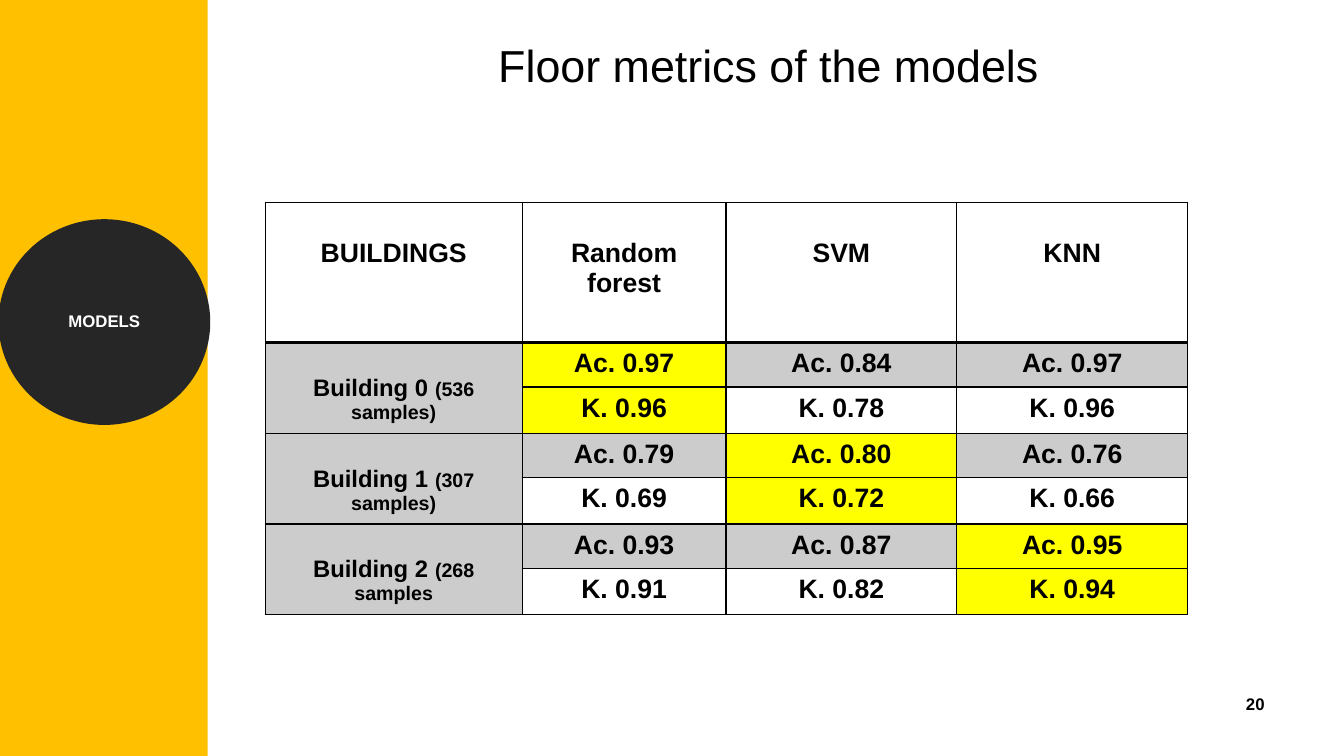
from pptx import Presentation
from pptx.dml.color import RGBColor
from pptx.enum.shapes import MSO_SHAPE as SHAPE
from pptx.enum.text import MSO_ANCHOR as ANCHOR, MSO_AUTO_SIZE as AUTO, PP_ALIGN as ALIGN
from pptx.oxml.ns import qn
from pptx.util import Inches, Pt
from lxml.etree import SubElement

COLORS = {"black": "000000", "white": "FFFFFF", "gray": "CCCCCC",
          "best": "FFFF00", "band": "FFC000", "circle": "262626"}
HEADERS = ["BUILDINGS", "Random forest", "SVM", "KNN"]
# Name, sample note, accuracies, kappas, column of the best model
BUILDINGS = [
    ("Building 0 ", "(536 samples)", ["0.97", "0.84", "0.97"], ["0.96", "0.78", "0.96"], 1),
    ("Building 1 ", "(307 samples)", ["0.79", "0.80", "0.76"], ["0.69", "0.72", "0.66"], 2),
    ("Building 2 ", "(268 samples", ["0.93", "0.87", "0.95"], ["0.91", "0.82", "0.94"], 3),
]
COL_WIDTHS = [2.55, 2.02, 2.29, 2.29]
ROW_HEIGHTS = [1.39] + [0.44, 0.46] * 3


def add_run(p, text, size, color="black", bold=True):
    r = p.add_run()
    r.text = text
    r.font.name, r.font.size, r.font.bold = "Arial", Pt(size), bold
    r.font.color.rgb = RGBColor.from_string(COLORS[color])


def style_cell(cell, fill, margins, bottom=1):
    """Set fill, margins (left/right, top, bottom) and black borders."""
    side, cell.margin_top, cell.margin_bottom = [Inches(m) for m in margins]
    cell.margin_left = cell.margin_right = side
    cell.text_frame.paragraphs[0].alignment = ALIGN.CENTER
    tc_pr = cell._tc.get_or_add_tcPr()
    for edge, width in (("L", 1), ("R", 1), ("T", 1), ("B", bottom)):
        ln = SubElement(tc_pr, qn(f"a:ln{edge}"), w=str(Pt(width)))
        solid = SubElement(ln, qn("a:solidFill"))
        SubElement(solid, qn("a:srgbClr"), val=COLORS["black"])
    cell.fill.solid()
    cell.fill.fore_color.rgb = RGBColor.from_string(COLORS[fill])


prs = Presentation()
prs.slide_width, prs.slide_height = Inches(13.33), Inches(7.5)
s = prs.slides.add_slide(prs.slide_layouts[5])

# Title
title = s.shapes.title
title.left, title.top = Inches(2.06), Inches(0.38)
title.width, title.height = Inches(11.13), Inches(0.54)
tf = title.text_frame
tf.auto_size = AUTO.NONE
tf.vertical_anchor = ANCHOR.TOP
tf.margin_left = tf.margin_right = 0
p = tf.paragraphs[0]
p.alignment, p.line_spacing = ALIGN.CENTER, 0.9
add_run(p, "Floor metrics of the models", 32, bold=False)

# Slide number
number = s.shapes.add_textbox(Inches(12.26), Inches(6.83), Inches(0.4), Inches(0.3))
number.text_frame.word_wrap = False
add_run(number.text_frame.paragraphs[0], "20", 12)

# Table of metrics
table = s.shapes.add_table(len(ROW_HEIGHTS), len(COL_WIDTHS), Inches(2.63), Inches(2.01),
                           Inches(sum(COL_WIDTHS)), Inches(sum(ROW_HEIGHTS))).table
table.first_row = table.horz_banding = False
for column, width in zip(table.columns, COL_WIDTHS):
    column.width = Inches(width)
for row, height in zip(table.rows, ROW_HEIGHTS):
    row.height = Inches(height)

for col, header in enumerate(HEADERS):
    cell = table.cell(0, col)
    style_cell(cell, "white", (0.12, 0.36, 0.06), bottom=2)
    add_run(cell.text_frame.paragraphs[0], header, 19)

for i, (name, samples, accuracies, kappas, best) in enumerate(BUILDINGS):
    top = 1 + 2 * i
    cell = table.cell(top, 0)
    cell.merge(table.cell(top + 1, 0))
    for row in (top, top + 1):
        style_cell(table.cell(row, 0), "gray", (0.1, 0.32, 0.05) if row == top else (0.1, 0.05, 0.05))
    add_run(cell.text_frame.paragraphs[0], name, 17)
    add_run(cell.text_frame.paragraphs[0], samples, 14)
    for row, label, values, fill in ((top, "Ac.", accuracies, "gray"),
                                     (top + 1, "K.", kappas, "white")):
        for col, value in enumerate(values, start=1):
            cell = table.cell(row, col)
            style_cell(cell, "best" if col == best else fill, (0.12, 0.06, 0.06))
            add_run(cell.text_frame.paragraphs[0], f"{label} {value}", 19)

# Side band and section circle
for kind, box, color, line_width in (
        (SHAPE.RECTANGLE, (0, 0, 2.06, 7.5), "band", 0),
        (SHAPE.OVAL, (0.08, 2.27, 1.91, 1.85), "circle", 13.75)):
    sp = s.shapes.add_shape(kind, *[Inches(v) for v in box])
    sp.shadow.inherit = False
    sp.fill.solid()
    sp.fill.fore_color.rgb = RGBColor.from_string(COLORS[color])
    if line_width:
        sp.line.color.rgb = RGBColor.from_string(COLORS[color])
        sp.line.width = Pt(line_width)
    else:
        sp.line.fill.background()
tf = sp.text_frame
tf.vertical_anchor = ANCHOR.MIDDLE
p = tf.paragraphs[0]
p.alignment, p.line_spacing = ALIGN.CENTER, 0.9
add_run(p, "MODELS", 12, "white")

prs.save("out.pptx")
